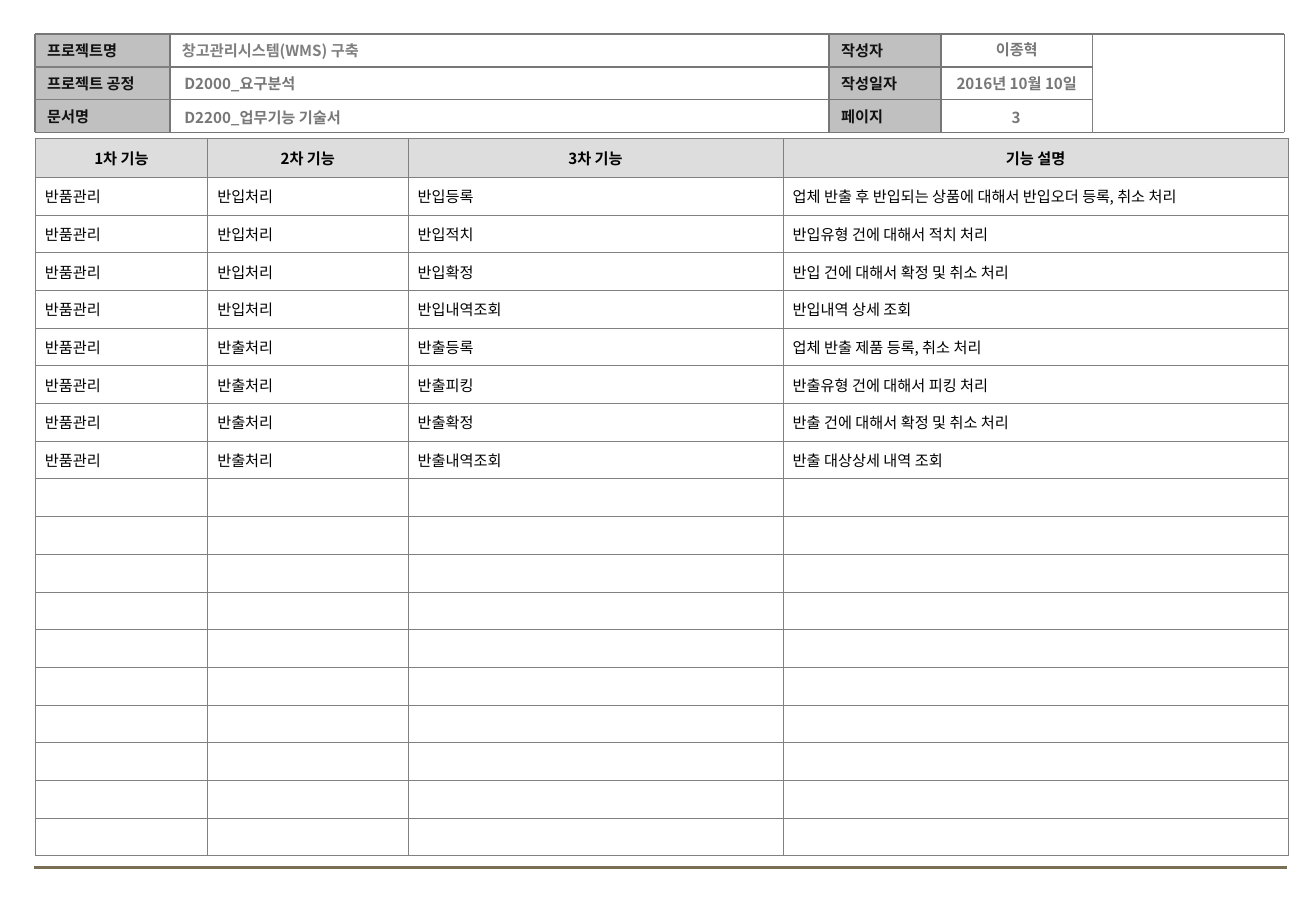
import pptx
import pptx.util
import pptx.dml.color
import pptx.enum.shapes
import pptx.enum.text
import pptx.oxml.ns
from lxml import etree

Inches = pptx.util.Inches
Pt = pptx.util.Pt
RGBColor = pptx.dml.color.RGBColor
ALIGN = pptx.enum.text.PP_ALIGN
ANCHOR = pptx.enum.text.MSO_ANCHOR
qn = pptx.oxml.ns.qn

FONT = "Noto Sans CJK KR"
BLACK = RGBColor(0x00, 0x00, 0x00)
LABEL_TEXT = RGBColor(0x11, 0x11, 0x11)
LABEL_FILL = RGBColor(0xC0, 0xC0, 0xC0)
PROJECT_TEXT = RGBColor(0x7F, 0x7F, 0x7F)
GRAY = RGBColor(0x77, 0x77, 0x77)
BORDER = RGBColor(0x80, 0x80, 0x80)
HEADING_FILL = RGBColor(0xDD, 0xDD, 0xDD)
FOOTER = RGBColor(0x7A, 0x6F, 0x54)

# Content
LEFT_LABELS = ["프로젝트명", "프로젝트 공정", "문서명"]
RIGHT_LABELS = ["작성자", "작성일자", "페이지"]
PROJECT = "창고관리시스템(WMS) 구축"
# text, left, top, width, alignment
VALUES = [
    ("D2000_요구분석", 1.42, 0.56, 4.8, ALIGN.LEFT),
    ("D2200_업무기능 기술서", 1.42, 0.84, 4.8, ALIGN.LEFT),
    ("이종혁", 7.59, 0.28, 1.57, ALIGN.CENTER),
    ("2016년 10월 10일", 7.59, 0.56, 1.57, ALIGN.CENTER),
    ("3", 7.78, 0.84, 1.18, ALIGN.CENTER),
]
HEADINGS = ["1차 기능", "2차 기능", "3차 기능", "기능 설명"]
FUNCTIONS = [
    ("반입처리", "반입등록", "업체 반출 후 반입되는 상품에 대해서 반입오더 등록, 취소 처리"),
    ("반입처리", "반입적치", "반입유형 건에 대해서 적치 처리"),
    ("반입처리", "반입확정", "반입 건에 대해서 확정 및 취소 처리"),
    ("반입처리", "반입내역조회", "반입내역 상세 조회"),
    ("반출처리", "반출등록", "업체 반출 제품 등록, 취소 처리"),
    ("반출처리", "반출피킹", "반출유형 건에 대해서 피킹 처리"),
    ("반출처리", "반출확정", "반출 건에 대해서 확정 및 취소 처리"),
    ("반출처리", "반출내역조회", "반출 대상상세 내역 조회"),
]
EMPTY_ROWS = 10
COLUMN_WIDTHS = [1.42, 1.65, 3.09, 4.16]

# Header block geometry
LEFT, VALUE_LEFT, LABEL_LEFT, AUTHOR_LEFT, LOGO_LEFT, RIGHT = 0.29, 1.4, 6.83, 7.75, 9, 10.58
TOP, ROW_HEIGHT = 0.28, 0.27
BOTTOM = TOP + 3 * ROW_HEIGHT

presentation = pptx.Presentation()
presentation.slide_width = Inches(10.84)
presentation.slide_height = Inches(7.5)
slide = presentation.slides.add_slide(presentation.slide_layouts[6])


def write(frame, text, color, bold=True, align=ALIGN.LEFT):
    paragraph = frame.paragraphs[0]
    paragraph.text = text
    paragraph.alignment = align
    font = paragraph.font
    font.size, font.bold, font.name = Pt(9), bold, FONT
    font.color.rgb = color
    properties = paragraph._p.pPr.find(qn("a:defRPr"))
    etree.SubElement(properties, qn("a:ea"), typeface=FONT)
    if not text:
        etree.SubElement(paragraph._p, qn("a:endParaRPr"), sz="900")


def add_line(x1, y1, x2, y2, color=GRAY, width=1):
    line = slide.shapes.add_connector(
        pptx.enum.shapes.MSO_CONNECTOR.STRAIGHT,
        Inches(x1), Inches(y1), Inches(x2), Inches(y2))
    line.line.color.rgb = color
    line.line.width = Pt(width)
    etree.SubElement(line._element.spPr, qn("a:effectLst"))


def add_label(text, left, top, width):
    shape = slide.shapes.add_shape(
        pptx.enum.shapes.MSO_SHAPE.RECTANGLE,
        Inches(left), Inches(top), Inches(width), Inches(ROW_HEIGHT))
    shape.shadow.inherit = False
    shape.fill.solid()
    shape.fill.fore_color.rgb = LABEL_FILL
    shape.line.fill.background()
    shape.text_frame.vertical_anchor = ANCHOR.MIDDLE
    write(shape.text_frame, text, LABEL_TEXT)


def add_value(text, left, top, width, align, height=0.25, color=GRAY, anchor=ANCHOR.TOP):
    box = slide.shapes.add_textbox(Inches(left), Inches(top), Inches(width), Inches(height))
    box.text_frame.word_wrap = True
    box.text_frame.vertical_anchor = anchor
    write(box.text_frame, text, color, align=align)


def set_borders(cell):
    properties = cell._tc.get_or_add_tcPr()
    for position, side in enumerate(("a:lnL", "a:lnR", "a:lnT", "a:lnB")):
        border = etree.Element(qn(side), w=str(Pt(0.45)))
        fill = etree.SubElement(border, qn("a:solidFill"))
        etree.SubElement(fill, qn("a:srgbClr"), val=str(BORDER))
        properties.insert(position, border)


# Footer rule
add_line(0.28, 7.14, 10.6, 7.14, FOOTER, 1.75)

# Document header: labels and values
for index, (left_label, right_label) in enumerate(zip(LEFT_LABELS, RIGHT_LABELS)):
    top = TOP + index * ROW_HEIGHT
    add_label(left_label, LEFT, top, VALUE_LEFT - LEFT)
    add_label(right_label, LABEL_LEFT, top, AUTHOR_LEFT - LABEL_LEFT)
add_value(PROJECT, VALUE_LEFT, TOP, LABEL_LEFT - VALUE_LEFT, ALIGN.LEFT,
          ROW_HEIGHT, PROJECT_TEXT, ANCHOR.MIDDLE)

# Document header: grid lines
for x in (VALUE_LEFT, LABEL_LEFT, AUTHOR_LEFT, LEFT, RIGHT):
    add_line(x, TOP, x, BOTTOM)
add_line(LOGO_LEFT, TOP, LOGO_LEFT, BOTTOM, BORDER)
for y in (TOP + ROW_HEIGHT, TOP + 2 * ROW_HEIGHT):
    add_line(LEFT, y, VALUE_LEFT, y, BORDER)
    add_line(VALUE_LEFT, y, LOGO_LEFT, y)
for y in (TOP, BOTTOM):
    add_line(LEFT, y, RIGHT, y)
for value in VALUES:
    add_value(*value)

# Function table
rows = [HEADINGS] + [("반품관리", *function) for function in FUNCTIONS] + [[""] * 4] * EMPTY_ROWS
table = slide.shapes.add_table(
    len(rows), len(HEADINGS), Inches(0.29), Inches(1.14), Inches(10.33), Inches(5.91)).table
table.first_row = table.horz_banding = False
for column, width in zip(table.columns, COLUMN_WIDTHS):
    column.width = Inches(width)
for index, texts in enumerate(rows):
    heading = index == 0
    table.rows[index].height = Inches(0.32) if heading else Inches(5.59 / (len(rows) - 1))
    for cell, text in zip(table.rows[index].cells, texts):
        cell.vertical_anchor = ANCHOR.MIDDLE
        cell.margin_left = cell.margin_right = Inches(0.08)
        cell.margin_top = cell.margin_bottom = Inches(0.05)
        if heading:
            cell.fill.solid()
            cell.fill.fore_color.rgb = HEADING_FILL
        else:
            cell.fill.background()
        set_borders(cell)
        write(cell.text_frame, text, BLACK, heading, ALIGN.CENTER if heading else ALIGN.LEFT)

presentation.save("out.pptx")
